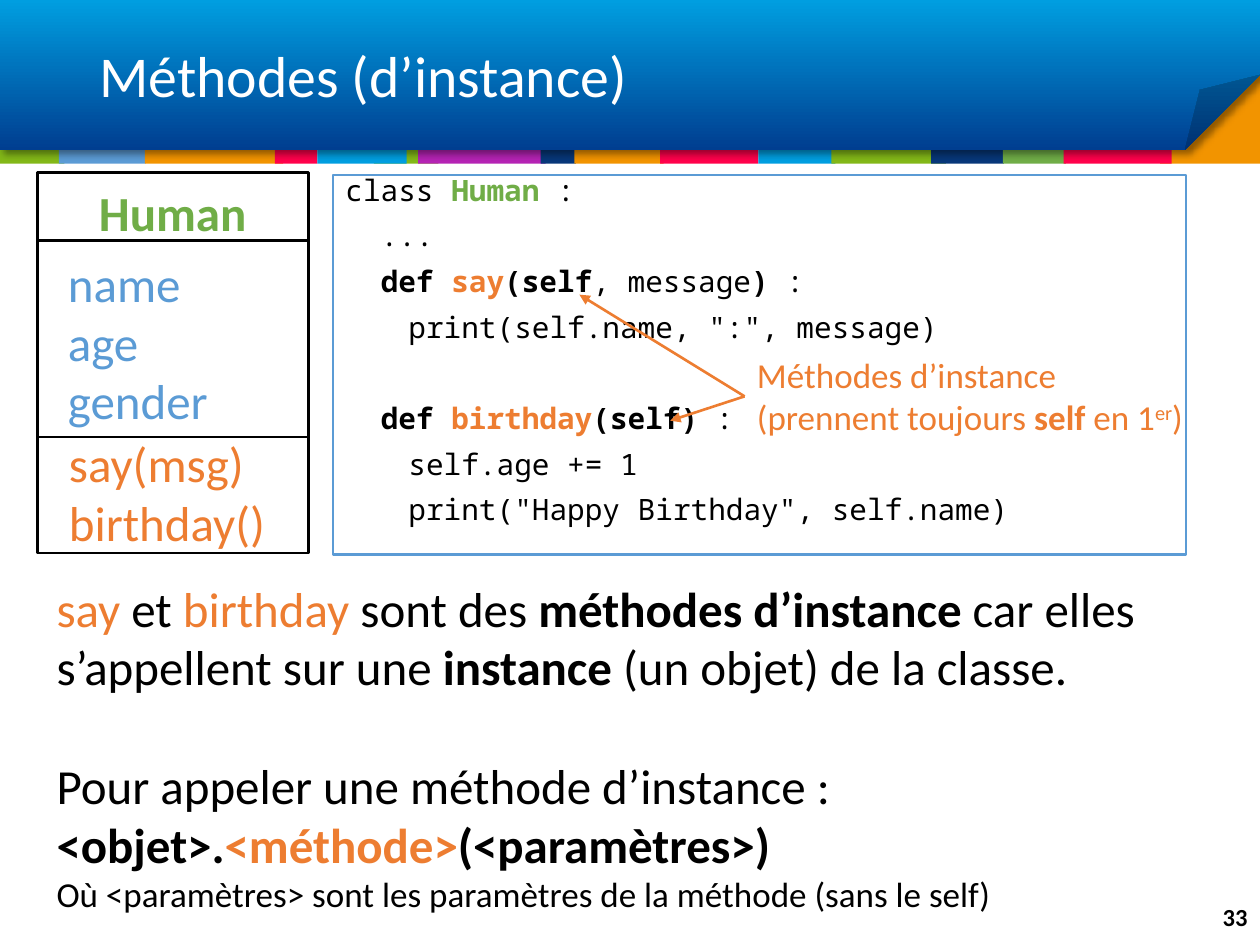
from dataclasses import dataclass

from lxml import etree
from pptx import Presentation
from pptx import util as u
from pptx.dml.color import RGBColor
from pptx.enum import shapes, text
from pptx.oxml import ns


@dataclass(frozen=True)
class Theme:
    black: str = "000000"
    white: str = "FFFFFF"
    orange: str = "ED7D31"
    green: str = "70AD47"
    blue: str = "5B9BD5"
    lime: str = "83B818"
    amber: str = "F29400"
    red: str = "FF014B"
    sky: str = "009EE0"
    deep: str = "003E90"
    navy: str = "073779"
    purple: str = "B523B4"
    sans: str = "Calibri"
    mono: str = "Noto Sans Mono"
    title: float = 33
    large: float = 28
    note: float = 20
    code: float = 16.8
    number: float = 14
    outline: float = 1.5


theme = Theme()


def write(box, paragraphs, size, face=theme.sans, **layout):
    frame = box.text_frame
    frame.word_wrap = True
    for index, spans in enumerate(paragraphs):
        para = frame.paragraphs[0] if index == 0 else frame.add_paragraph()
        for name, value in layout.items():
            setattr(para, name, value)
        for content, color, bold in spans:
            if content == "\n":
                para.add_line_break()
                continue
            span = para.add_run()
            span.text = content
            span.font.color.rgb = RGBColor.from_string(color)
            for name, value in {"name": face, "size": u.Pt(size), "bold": bold}.items():
                setattr(span.font, name, value)
    return frame


def add_rectangle(page, left, top, width, height, color, outline=None):
    box = page.shapes.add_shape(
        shapes.MSO_SHAPE.RECTANGLE, u.Cm(left), u.Cm(top), u.Cm(width), u.Cm(height))
    box.shadow.inherit = False
    box.fill.solid()
    box.fill.fore_color.rgb = RGBColor.from_string(color)
    if outline:
        box.line.color.rgb = RGBColor.from_string(outline)
        box.line.width = u.Pt(theme.outline)
    else:
        box.line.fill.background()


deck = Presentation()
deck.slide_width, deck.slide_height = u.Cm(25.4), u.Cm(19.05)
page = deck.slides.add_slide(deck.slide_layouts[1])
title, code = page.shapes.title, page.placeholders[1]

add_rectangle(page, 23.39, 1.19, 2.01, 2.11, theme.amber)
stripes = [
    (7.54, 1.3, theme.lime), (0, 1.3, theme.lime), (1.19, 1.75, theme.blue),
    (2.92, 2.79, theme.amber), (5.54, 0.86, theme.red), (6.4, 1.8, theme.sky),
    (8.43, 2.57, theme.purple), (10.9, 0.71, theme.navy), (11.58, 1.8, theme.amber),
    (13.31, 1.98, theme.red), (15.29, 1.55, theme.sky), (16.76, 2.31, theme.lime),
    (18.77, 1.47, theme.navy), (20.22, 1.27, theme.green), (21.44, 2.18, theme.red),
]
for left, width, color in stripes:
    add_rectangle(page, left, 2.06, width, 1.24, color)

banner = page.shapes.add_shape(
    shapes.MSO_SHAPE.FOLDED_CORNER, 0, 0, deck.slide_width, u.Cm(3.02))
fold = banner._element.spPr.find(ns.qn("a:prstGeom")).get_or_add_avLst()
etree.SubElement(fold, ns.qn("a:gd"), name="adj", fmla="val 50000")
banner.line.fill.background()
banner.fill.gradient()
banner.fill.gradient_angle = 270
for stop, position, color in zip(banner.fill.gradient_stops, (0, 1), (theme.sky, theme.deep)):
    stop.position = position
    stop.color.rgb = RGBColor.from_string(color)
banner.shadow.inherit = False
effects = banner._element.spPr.find(ns.qn("a:effectLst"))
shadow = etree.SubElement(
    effects, ns.qn("a:outerShdw"), blurRad=str(u.Pt(4)), dist=str(u.Pt(3)),
    dir="2700000", algn="tl", rotWithShape="0")
shade = etree.SubElement(shadow, ns.qn("a:srgbClr"), val=theme.black)
etree.SubElement(shade, ns.qn("a:alpha"), val="40000")

for holder, bounds in ((code, (6.71, 3.53, 17.2, 7.65)), (title, (1.75, 0.64, 21.89, 1.9))):
    page.shapes._spTree.append(holder._element)
    for name, value in zip(("left", "top", "width", "height"), bounds):
        setattr(holder, name, u.Cm(value))
    holder.text_frame.auto_size = text.MSO_AUTO_SIZE.NONE

code.line.color.rgb = RGBColor.from_string(theme.blue)
code.line.width = u.Pt(theme.outline)
plain, strong = (theme.black, False), (theme.black, True)
frame = write(code, [
    [("class ", *plain), ("Human", theme.green, True), (" :", *plain)],
    [("  ...", *plain)],
    [("  ", *plain), ("def ", *strong), ("say", theme.orange, True), ("(self", *strong),
     (", message", *plain), (")", *strong), (" :", *plain)],
    [("\tprint(self.name, \":\", message)", *plain)],
    [("  ", *plain), ("def ", *strong), ("birthday", theme.orange, True),
     ("(self) ", *strong), (":", *plain)],
    [("\tself.age += 1", *plain)],
    [("\tprint(\"Happy Birthday\", self.name)", *plain)],
], theme.code, theme.mono)
for para, gap in zip(frame.paragraphs, (0, 12, 12, 12, 38, 12, 12)):
    properties = para._p.get_or_add_pPr()
    properties.set("marL", "0")
    properties.set("indent", "0")
    etree.SubElement(properties, ns.qn("a:buNone"))
    tabs = etree.SubElement(properties, ns.qn("a:tabLst"))
    etree.SubElement(tabs, ns.qn("a:tab"), pos=str(u.Cm(1.9)), algn="l")
    para.line_spacing = 0.7
    para.space_before = u.Pt(gap)

write(title, [[("Méthodes (d’instance)", theme.white, False)]], theme.title,
      alignment=text.PP_ALIGN.LEFT, line_spacing=0.9, space_before=u.Pt(0))
title.text_frame.vertical_anchor = text.MSO_ANCHOR.MIDDLE

for top, height in ((3.48, 1.37), (4.85, 3.96), (8.81, 2.34)):
    add_rectangle(page, 0.76, top, 5.46, height, theme.white, theme.black)

accent, attribute = (theme.orange, False), (theme.blue, False)
left_side, center, right = text.PP_ALIGN.LEFT, text.PP_ALIGN.CENTER, text.PP_ALIGN.RIGHT
labels = {
    "number": ((23.65, 17.96, 1.75, 1.02), theme.number, right, [[("33", *strong)]]),
    "note": ((15.01, 7.01, 9.4, 1.96), theme.note, left_side, [
        [("Méthodes d’instance", *accent), ("\n", *accent), ("(prennent toujours ", *accent),
         ("self ", theme.orange, True), ("en 1", *accent), ("er", *accent), (")", *accent)]]),
    "explanation": ((0.89, 11.53, 22.78, 7.09), theme.large, left_side, [
        [("say ", *accent), ("et ", *plain), ("birthday ", *accent), ("sont des ", *plain),
         ("méthodes d’instance ", *strong), ("car elles s’appellent sur une ", *plain),
         ("instance", *strong), (" (un objet) de la classe.", *plain)],
        [("Pour appeler une méthode d’instance :", *plain)],
        [("<objet>.", *strong), ("<méthode>", theme.orange, True), ("(<paramètres>)", *strong)],
        [("Où <paramètres> sont les paramètres de la méthode (sans le self)", *plain)]]),
    "class name": ((1.12, 3.56, 4.72, 1.45), theme.large, center,
                   [[("Human", theme.green, True)]]),
    "attributes": ((1.12, 4.98, 3.63, 3.84), theme.large, left_side,
                   [[(word, *attribute)] for word in ("name", "age", "gender")]),
    "methods": ((1.14, 8.61, 4.72, 2.64), theme.large, left_side,
                [[(word, *accent)] for word in ("say(msg)", "birthday()")]),
}
boxes = {}
for name, (bounds, size, alignment, paragraphs) in labels.items():
    boxes[name] = page.shapes.add_textbox(*map(u.Cm, bounds))
    write(boxes[name], paragraphs, size, alignment=alignment)

boxes["number"].text_frame.vertical_anchor = text.MSO_ANCHOR.MIDDLE
superscript = boxes["note"].text_frame.paragraphs[0].runs[4]
superscript._r.get_or_add_rPr().set("baseline", "30000")
explanation = boxes["explanation"].text_frame.paragraphs
explanation[1].space_before = u.Pt(34)
explanation[3].runs[0].font.size = u.Pt(theme.note)

for end_x, end_y in ((11.68, 5.94), (13.51, 8.48)):
    arrow = page.shapes.add_connector(
        shapes.MSO_CONNECTOR.STRAIGHT, u.Cm(15.01), u.Cm(7.99), u.Cm(end_x), u.Cm(end_y))
    arrow.begin_connect(boxes["note"], 1)
    arrow.line.color.rgb = RGBColor.from_string(theme.orange)
    arrow.line.width = u.Pt(theme.outline)
    etree.SubElement(arrow.line._get_or_add_ln(), ns.qn("a:tailEnd"), type="triangle")
    etree.SubElement(arrow._element.spPr, ns.qn("a:effectLst"))

deck.save("out.pptx")
